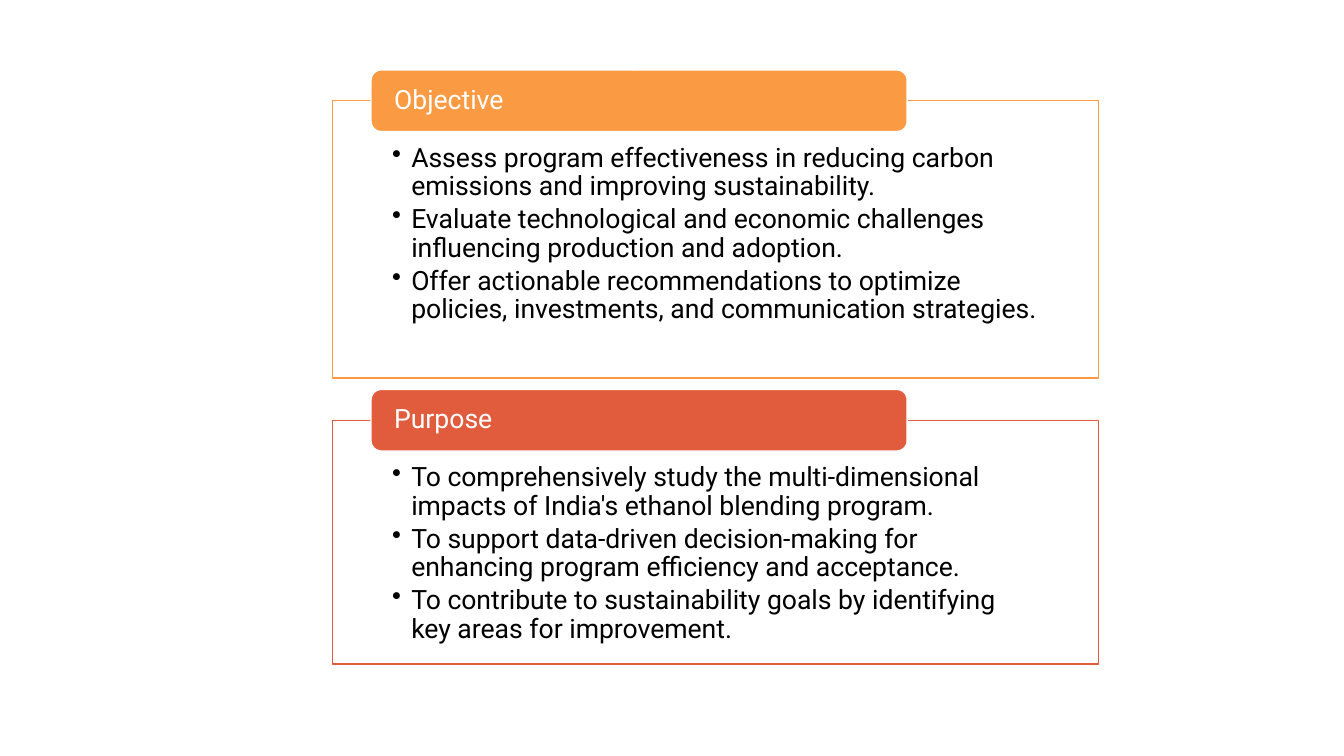
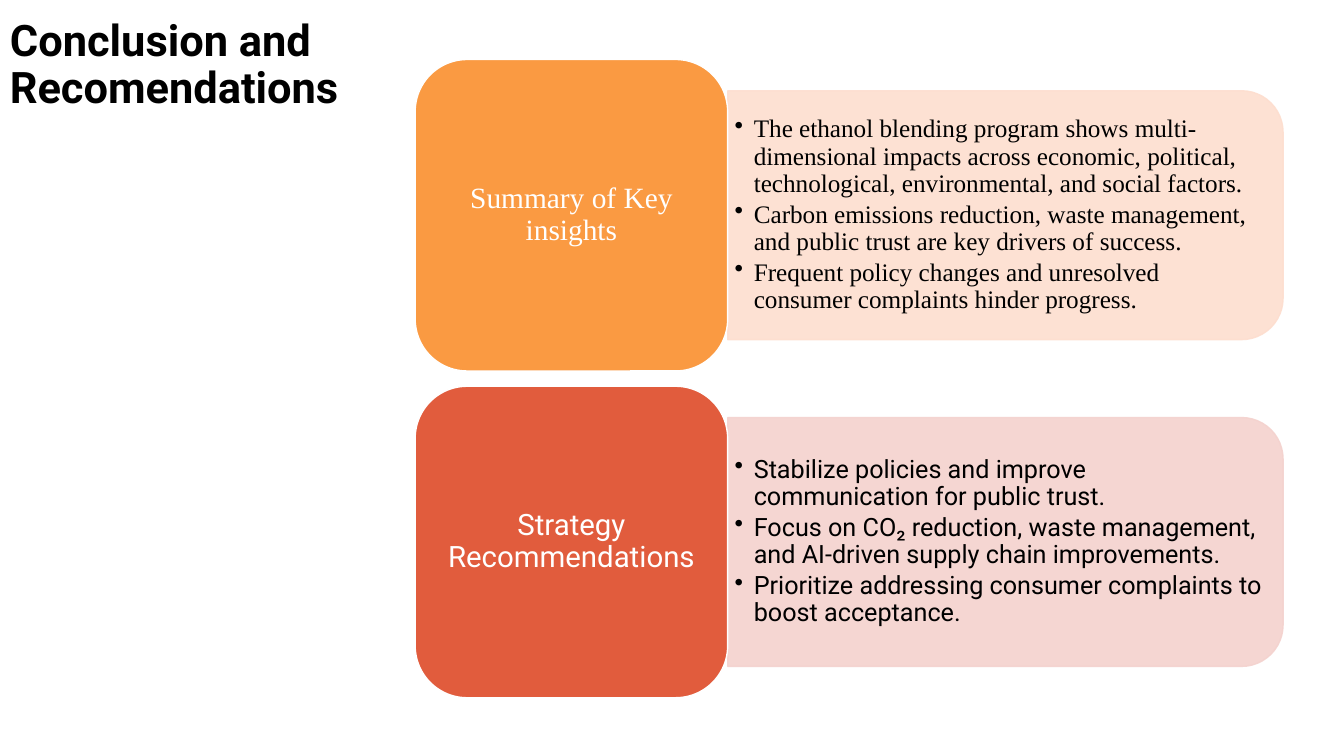
from dataclasses import dataclass

from lxml import etree
from pptx import Presentation
from pptx.dml.color import RGBColor
from pptx.enum.shapes import MSO_SHAPE as Shape
from pptx.enum.text import MSO_ANCHOR as Anchor, PP_ALIGN as Align
from pptx.oxml.ns import qn
from pptx.util import Pt


@dataclass(frozen=True)
class Theme:
    orange: str = "FA9A42"
    red: str = "E15C3D"
    pale_orange: str = "FDDECF"
    pale_red: str = "F4D2CE"
    white: str = "FFFFFF"
    black: str = "000000"
    sans: str = "Roboto"
    serif: str = "Times New Roman"
    title_size: int = 31
    label_size: int = 21
    frame_size: int = 19
    panel_size: int = 18
    bullet_indent: float = 13.7
    opacity: int = 90


THEME = Theme()

# Content: heading, colour, frame top, frame height, bullets
AIMS = [
    ("Objective", THEME.orange, 72, 198, [
        "Assess program effectiveness in reducing carbon emissions and improving sustainability.",
        "Evaluate technological and economic challenges influencing production and adoption.",
        "Offer actionable recommendations to optimize policies, investments, and communication strategies.",
    ]),
    ("Purpose", THEME.red, 300.2, 174.2, [
        "To comprehensively study the multi-dimensional impacts of India's ethanol blending program.",
        "To support data-driven decision-making for enhancing program efficiency and acceptance.",
        "To contribute to sustainability goals by identifying key areas for improvement.",
    ]),
]

# Content: heading, colour, panel colour, font, bullets
CONCLUSION_TITLE = "Conclusion and Recomendations"
CONCLUSIONS = [
    ("Summary of Key insights", THEME.orange, THEME.pale_orange, THEME.serif, [
        "The ethanol blending program shows multi-dimensional impacts across economic, political, "
        "technological, environmental, and social factors.",
        "Carbon emissions reduction, waste management, and public trust are key drivers of success.",
        "Frequent policy changes and unresolved consumer complaints hinder progress.",
    ]),
    ("Strategy Recommendations", THEME.red, THEME.pale_red, THEME.sans, [
        "Stabilize policies and improve communication for public trust.",
        "Focus on CO₂ reduction, waste management, and AI-driven supply chain improvements.",
        "Prioritize addressing consumer complaints to boost acceptance.",
    ]),
]


# Drawing helpers
def add_bullet(paragraph):
    properties = paragraph._p.get_or_add_pPr()
    indent = Pt(THEME.bullet_indent)
    properties.set("marL", str(indent))
    properties.set("indent", str(-indent))
    etree.SubElement(properties, qn("a:buChar")).set("char", "•")


def write_text(shape, lines, *, size, color=THEME.black, font=THEME.sans, bold=False,
               bullets=False, align=Align.LEFT, anchor=Anchor.TOP,
               insets=(7.2, 3.6, 7.2, 3.6), space_after=0):
    frame = shape.text_frame
    frame.word_wrap = True
    frame.vertical_anchor = anchor
    (frame.margin_left, frame.margin_top,
     frame.margin_right, frame.margin_bottom) = map(Pt, insets)
    for index, line in enumerate(lines):
        paragraph = frame.add_paragraph() if index else frame.paragraphs[0]
        paragraph.alignment = align
        paragraph.line_spacing = 0.9
        paragraph.space_after = Pt(space_after)
        if bullets:
            add_bullet(paragraph)
        run = paragraph.add_run()
        run.text = line
        run.font.name = font
        run.font.size = Pt(size)
        run.font.bold = bold
        run.font.color.rgb = RGBColor.from_string(color)


def add_box(slide, kind, left, top, width, height, fill, line, opacity=None):
    shape = slide.shapes.add_shape(kind, Pt(left), Pt(top), Pt(width), Pt(height))
    shape.shadow.inherit = False
    shape.line.width = Pt(1)
    for paint, color in ((shape.fill, fill), (shape.line.fill, line)):
        paint.solid()
        paint.fore_color.rgb = RGBColor.from_string(color)
    if opacity:
        for color in shape._element.spPr.iter(qn("a:srgbClr")):
            etree.SubElement(color, qn("a:alpha")).set("val", str(opacity * 1000))
    return shape


def add_text_box(slide, left, top, width, height, lines, **text_format):
    box = slide.shapes.add_textbox(Pt(left), Pt(top), Pt(width), Pt(height))
    write_text(box, lines, **text_format)


# Slide 1: framed lists with a heading tab on the top edge
def build_aims(slide):
    frame_left, frame_width = 237.6, 547.2
    tab_left, tab_width, tab_height = 265, 383, 44
    for heading, color, top, height, bullets in AIMS:
        frame = add_box(slide, Shape.RECTANGLE, frame_left, top, frame_width, height,
                        THEME.white, color)
        write_text(frame, bullets, size=THEME.frame_size, bullets=True,
                   insets=(42.5, 31, 42.5, 10.8), space_after=2.85)
        tab = add_box(slide, Shape.ROUNDED_RECTANGLE, tab_left, top - tab_height / 2,
                      tab_width, tab_height, color, THEME.white)
        write_text(tab, [heading], size=THEME.frame_size, color=THEME.white,
                   anchor=Anchor.MIDDLE, insets=(14.4, 0, 14.4, 0))


# Slide 2: label blocks, each with a panel to its right
def build_conclusions(slide):
    add_text_box(slide, 0, 10, 275, 79, [CONCLUSION_TITLE], size=THEME.title_size, bold=True)
    label_left, label_top, label_width, label_height, gap = 296.6, 42.5, 223.2, 222.5, 10.9
    panel_width, panel_height = 396.7, 177.8
    text_width, text_height = 388, 160.6
    panel_left = label_left + label_width
    for row, (heading, color, pale, font, bullets) in enumerate(CONCLUSIONS):
        top = label_top + row * (label_height + gap)
        middle = top + label_height / 2
        # The panel is upright before its quarter turn, so its sides are swapped
        panel = add_box(slide, Shape.ROUND_2_SAME_RECTANGLE,
                        panel_left + (panel_width - panel_height) / 2,
                        middle - panel_width / 2, panel_height, panel_width,
                        pale, pale, opacity=THEME.opacity)
        panel.rotation = 90
        add_text_box(slide, panel_left, middle - text_height / 2, text_width, text_height,
                     bullets, size=THEME.panel_size, font=font, bullets=True,
                     anchor=Anchor.MIDDLE, insets=(5, 2.9, 5, 2.9), space_after=2.7)
        label = add_box(slide, Shape.ROUNDED_RECTANGLE, label_left, top,
                        label_width, label_height, color, THEME.white)
        write_text(label, [heading], size=THEME.label_size, color=THEME.white, font=font,
                   align=Align.CENTER, anchor=Anchor.MIDDLE, insets=(6.5, 2.9, 6.5, 2.9))


def main():
    presentation = Presentation()
    presentation.slide_width, presentation.slide_height = Pt(960), Pt(540)
    blank = presentation.slide_layouts[6]
    for build in (build_aims, build_conclusions):
        build(presentation.slides.add_slide(blank))
    presentation.save("out.pptx")


if __name__ == "__main__":
    main()
